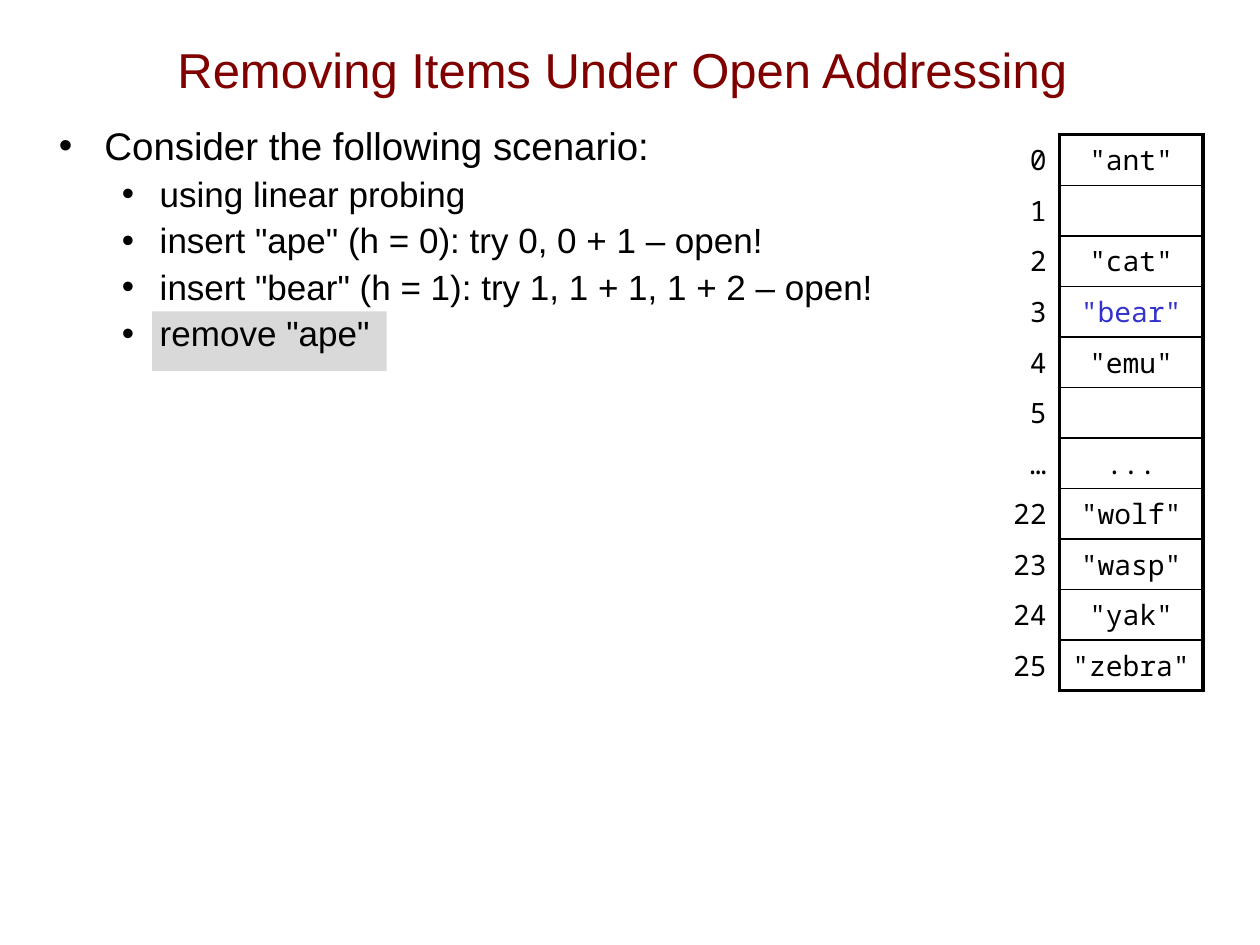
from lxml.etree import SubElement
from pptx import Presentation
from pptx.dml.color import RGBColor
from pptx.enum.shapes import MSO_SHAPE
from pptx.enum.text import MSO_ANCHOR, MSO_AUTO_SIZE, PP_ALIGN
from pptx.oxml.ns import qn
from pptx.util import Pt

COLORS = {"title": "800000", "text": "000000", "moved": "3333CC", "highlight": "D9D9D9"}


def style_runs(para, size, color, font):
    for span in para.runs:
        span.font.size = Pt(size)
        span.font.name = font
        span.font.color.rgb = RGBColor.from_string(COLORS[color])


def add_border(cell, side, width):
    line = SubElement(cell._tc.get_or_add_tcPr(), qn(f"a:{side}"), w=str(Pt(width)))
    fill = SubElement(line, qn("a:solidFill"))
    SubElement(fill, qn("a:srgbClr"), val=COLORS["text"])


deck = Presentation()
deck.slide_width, deck.slide_height = Pt(720), Pt(540)
page = deck.slides.add_slide(deck.slide_layouts[5])

title = page.shapes.title
title.left, title.top, title.width, title.height = Pt(46), Pt(5.8), Pt(619), Pt(67)
title.text_frame.text = "Removing Items Under Open Addressing"
title.text_frame.auto_size = MSO_AUTO_SIZE.NONE
title.text_frame.vertical_anchor = MSO_ANCHOR.MIDDLE
title.text_frame.paragraphs[0].alignment = PP_ALIGN.CENTER
style_runs(title.text_frame.paragraphs[0], 28, "title", "Arial")

highlight = page.shapes.add_shape(MSO_SHAPE.RECTANGLE, Pt(87), Pt(178), Pt(134), Pt(34))
highlight.shadow.inherit = False
highlight.fill.solid()
highlight.fill.fore_color.rgb = RGBColor.from_string(COLORS["highlight"])
highlight.line.fill.background()

scenario = [
    (0, "Consider the following scenario:"),
    (1, "using linear probing"),
    (1, 'insert "ape" (h = 0): try 0, 0 + 1 – open!'),
    (1, 'insert "bear" (h = 1): try 1, 1 + 1, 1 + 2 – open!'),
    (1, 'remove "ape"'),
]
levels = [
    {"size": 22, "margin": 26, "indent": -26, "before": 14, "spacing": 1.0},
    {"size": 20, "margin": 57.6, "indent": -21.6, "before": 5, "spacing": 0.9},
]
box = page.shapes.add_textbox(Pt(26.6), Pt(66.2), Pt(666), Pt(442))
frame = box.text_frame
frame.word_wrap = True
for index, (level, wording) in enumerate(scenario):
    look = levels[level]
    para = frame.add_paragraph() if index else frame.paragraphs[0]
    para.text = wording
    para.level = level
    para.space_before = Pt(look["before"])
    para.line_spacing = look["spacing"]
    style_runs(para, look["size"], "text", "Arial")
    properties = para._p.get_or_add_pPr()
    properties.set("marL", str(Pt(look["margin"])))
    properties.set("indent", str(Pt(look["indent"])))
    bullet_color = SubElement(properties, qn("a:buClr"))
    SubElement(bullet_color, qn("a:srgbClr"), val=COLORS["text"])
    SubElement(properties, qn("a:buFont"), typeface="Arial")
    SubElement(properties, qn("a:buChar"), char="•")

slots = [
    ("0", '"ant"'), ("1", ""), ("2", '"cat"'), ("3", '"bear"'),
    ("4", '"emu"'), ("5", ""), ("…", "..."), ("22", '"wolf"'),
    ("23", '"wasp"'), ("24", '"yak"'), ("25", '"zebra"'),
]
row_height = 28.9
grid = page.shapes.add_table(
    len(slots), 2, Pt(522.7), Pt(77), Pt(164.8), Pt(row_height * len(slots))
)
table = grid.table
table.first_row = False
table.horz_banding = False
table.columns[0].width, table.columns[1].width = Pt(82.6), Pt(82.2)
for row, slot in enumerate(slots):
    table.rows[row].height = Pt(row_height)
    for column, wording in enumerate(slot):
        cell = table.cell(row, column)
        para = cell.text_frame.paragraphs[0]
        para.text = wording
        para.alignment = PP_ALIGN.CENTER if column else PP_ALIGN.RIGHT
        style_runs(para, 16, "moved" if wording == '"bear"' else "text", "Noto Sans Mono")
        if column:
            add_border(cell, "lnL", 2.25)
            add_border(cell, "lnR", 2.25)
            add_border(cell, "lnT", 2.25 if row == 0 else 1)
            add_border(cell, "lnB", 2.25 if row == len(slots) - 1 else 1)
        else:
            add_border(cell, "lnR", 2.25)
        cell.fill.background()

deck.save("out.pptx")
